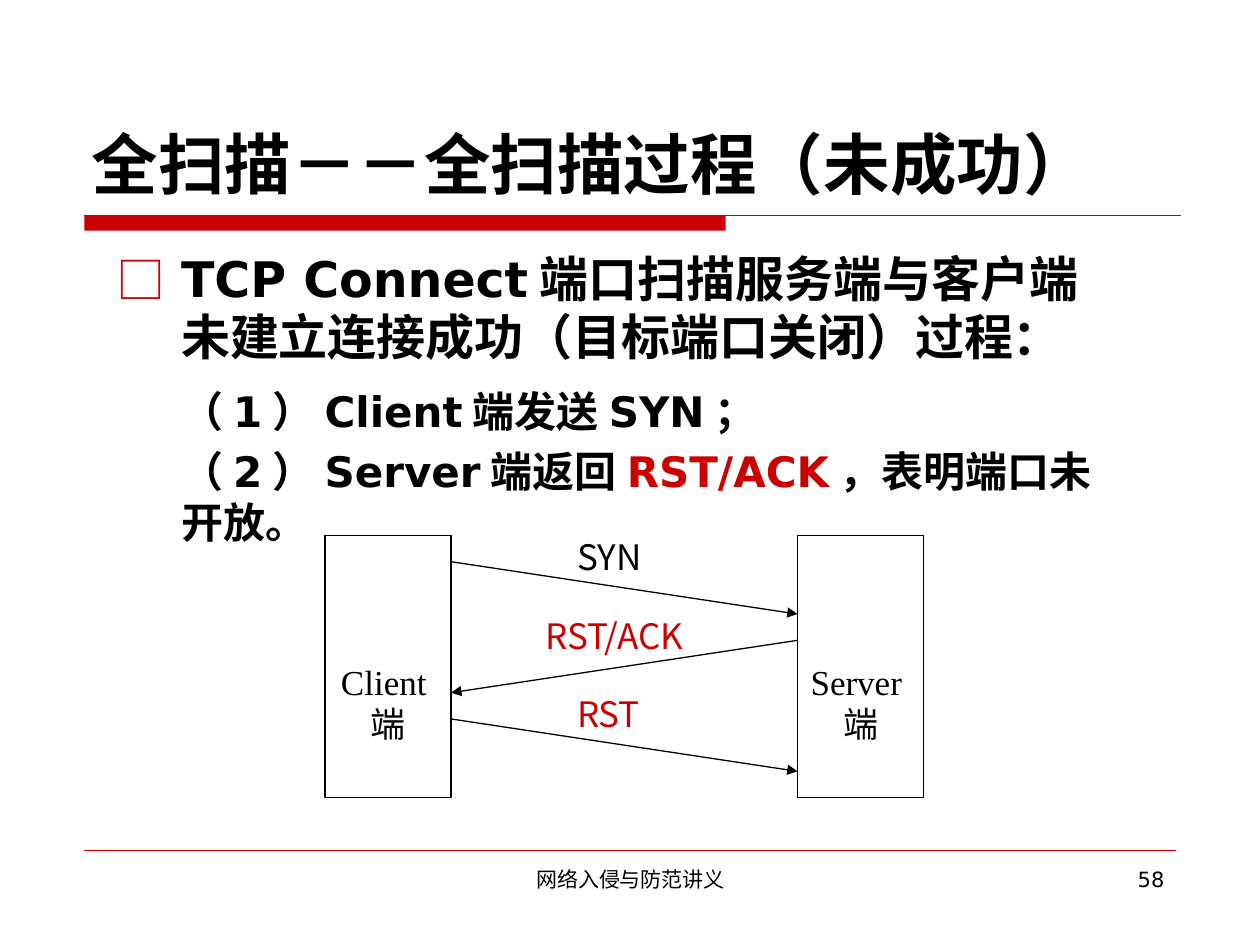
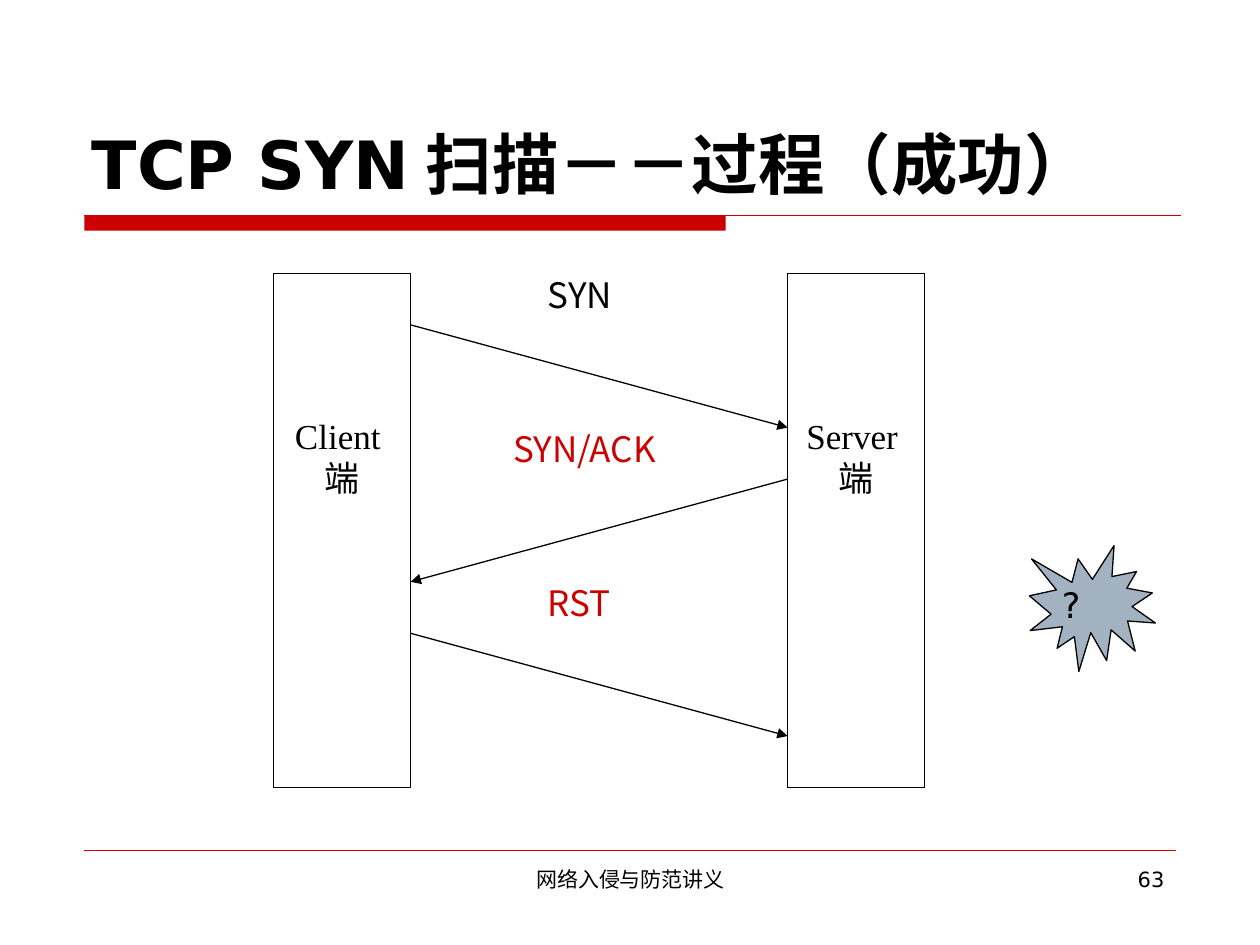
import pptx
import pptx.util
import pptx.dml.color
import pptx.enum.shapes
import pptx.enum.text
import pptx.oxml.ns
from lxml import etree

Inches = pptx.util.Inches
Pt = pptx.util.Pt
Color = pptx.dml.color.RGBColor
Shape = pptx.enum.shapes.MSO_SHAPE
Align = pptx.enum.text.PP_ALIGN
Anchor = pptx.enum.text.MSO_ANCHOR
qn = pptx.oxml.ns.qn

RED = Color(0xCC, 0x00, 0x00)
BLACK = Color(0x00, 0x00, 0x00)
WHITE = Color(0xFF, 0xFF, 0xFF)
GRAY = Color(0xA3, 0xB2, 0xC1)
SANS, HAN, SERIF = "DejaVu Sans", "Noto Sans CJK SC", "Times New Roman"


class Deck:
    """Holds the shared style and the current slide."""

    def __init__(self):
        self.deck = pptx.Presentation()
        self.deck.slide_width = Inches(10)
        self.deck.slide_height = Inches(7.5)
        self.slide = None

    def start(self, title, number):
        self.slide = self.deck.slides.add_slide(self.deck.slide_layouts[6])
        self.block(Shape.RECTANGLE, (0.67, 1.71, 5.09, 0.12), RED)
        self.line((0.67, 1.71), (9.37, 1.71), RED)
        self.line((0.67, 6.75), (9.33, 6.75), RED, 0.25)
        self.text((0.63, 0.33, 8.75, 1.33), title, size=38, bold=True, anchor=Anchor.BOTTOM)
        self.text((3.42, 6.83, 3.17, 0.52), "网络入侵与防范讲义", size=12, align=Align.CENTER)
        self.text((7.17, 6.83, 2.17, 0.52), number, size=12, align=Align.RIGHT)

    def block(self, kind, area, fill, edge=None):
        shape = self.slide.shapes.add_shape(kind, *map(Inches, area))
        shape.shadow.inherit = False
        shape.fill.solid()
        shape.fill.fore_color.rgb = fill
        if edge is None:
            shape.line.fill.background()
        else:
            shape.line.color.rgb = edge
            shape.line.width = Pt(0.75)
        return shape

    def frame(self, shape, inset=(0.1, 0.05, 0.1, 0.05), anchor=Anchor.TOP):
        frame = shape.text_frame
        left, top, right, bottom = map(Inches, inset)
        look = {"word_wrap": True, "vertical_anchor": anchor, "margin_left": left,
                "margin_top": top, "margin_right": right, "margin_bottom": bottom}
        for key, value in look.items():
            setattr(frame, key, value)
        return frame

    def run(self, para, words, size=20, name=SANS, color=BLACK, bold=False, align=Align.LEFT):
        para.alignment = align
        run = para.add_run()
        run.text = words
        look = {"size": Pt(size), "name": name, "bold": bold}
        for key, value in look.items():
            setattr(run.font, key, value)
        run.font.color.rgb = color
        latin = run._r.get_or_add_rPr().find(qn("a:latin"))
        latin.addnext(etree.Element(qn("a:ea"), typeface=HAN))

    def text(self, area, words, anchor=Anchor.TOP, **look):
        box = self.slide.shapes.add_textbox(*map(Inches, area))
        self.run(self.frame(box, anchor=anchor).paragraphs[0], words, **look)

    def list(self, area, items):
        frame = self.frame(self.slide.shapes.add_textbox(*map(Inches, area)))
        for i, (size, space, mark, parts) in enumerate(items):
            para = frame.paragraphs[0] if i == 0 else frame.add_paragraph()
            para.space_before = Pt(space)
            props = para._p.get_or_add_pPr()
            props.set("marL", str(Inches(0.51)))
            props.set("indent", str(-Inches(0.51) if mark else 0))
            if mark:
                tint = etree.SubElement(props, qn("a:buClr"))
                etree.SubElement(tint, qn("a:srgbClr"), val=str(RED))
                etree.SubElement(props, qn("a:buFont"), typeface=HAN)
                etree.SubElement(props, qn("a:buChar"), char=mark)
            for words, color in parts:
                self.run(para, words, size, color=color, bold=True)

    def line(self, start, end, color=BLACK, width=0.75, arrow=False):
        line = self.slide.shapes.add_connector(
            pptx.enum.shapes.MSO_CONNECTOR.STRAIGHT, *map(Inches, start + end))
        line.line.color.rgb = color
        line.line.width = Pt(width)
        props = line._element.spPr
        if arrow:
            etree.SubElement(props.find(qn("a:ln")), qn("a:tailEnd"), type="triangle")
        etree.SubElement(props, qn("a:effectLst"))

    def flow(self, area, drop, reply):
        left, top, width, height = area
        col, row = width / 19, height / 10
        near, far = left + 4 * col, left + 15 * col
        steps = (("SYN", BLACK, 8, 3), (reply, RED, 7, 6), ("RST", RED, 8, 3))
        for i, (words, color, shift, span) in enumerate(steps):
            spot = (left + shift * col, top + 3 * i * row, span * col, 2 * row)
            frame = self.frame(self.block(Shape.RECTANGLE, spot, WHITE), (0, 0, 0, 0))
            self.run(frame.paragraphs[0], words, name=HAN, color=color)
        for words, x in (("Client端", left), ("Server端", far)):
            box = self.block(Shape.RECTANGLE, (x, top, 4 * col, height), WHITE, BLACK)
            frame = self.frame(box, (0.1, drop, 0.1, 0.05))
            self.run(frame.paragraphs[0], words, name=SERIF, align=Align.CENTER)
        for i in range(3):
            start, end = (far, near) if i == 1 else (near, far)
            y = top + (3 * i + 1) * row
            self.line((start, y), (end, y + 2 * row), arrow=True)


def main():
    deck = Deck()
    deck.start("全扫描－－全扫描过程（未成功）", "58")
    deck.list((0.83, 1.92, 8, 4.78), (
        (28, 0, "□", (("TCP Connect端口扫描服务端与客户端未建立连接成功（目标端口关闭）过程：", BLACK),)),
        (24, 11, None, (("（1）Client端发送SYN；", BLACK),)),
        (24, 6, None, (("（2）Server端返回", BLACK), ("RST/ACK", RED),
                       ("，表明端口未开放。", BLACK))),
    ))
    deck.flow((2.58, 4.25, 4.75, 2.08), 0.99, "RST/ACK")

    deck.start("TCP SYN扫描－－过程（成功）", "63")
    deck.flow((2.17, 2.17, 5.17, 4.08), 1.12, "SYN/ACK")
    deck.block(Shape.EXPLOSION1, (8.17, 4.33, 1, 1), GRAY, BLACK)
    deck.text((8.33, 4.58, 0.42, 0.44), "?")
    deck.deck.save("out.pptx")


if __name__ == "__main__":
    main()
